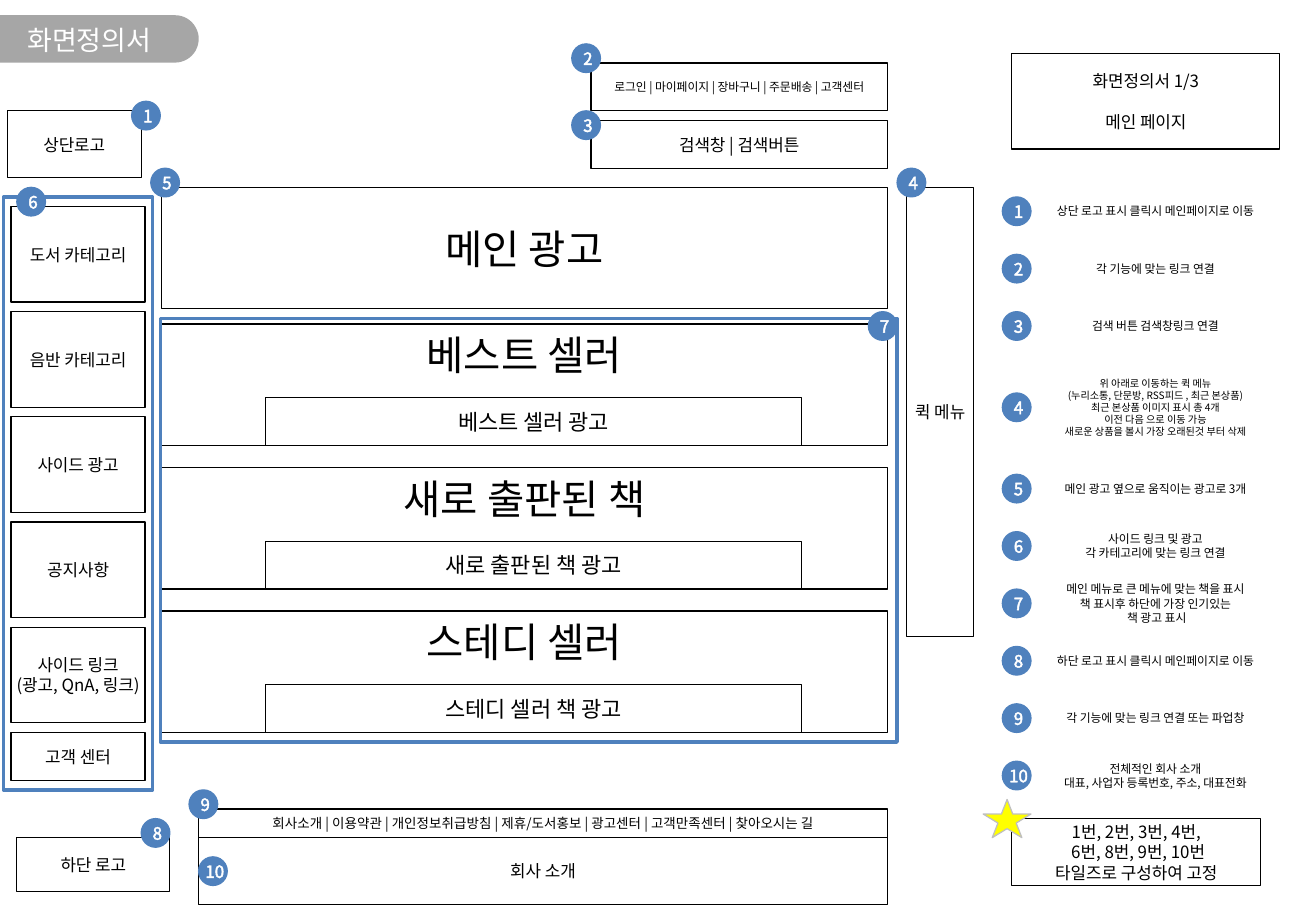
import pptx
import pptx.util
import pptx.dml.color
import pptx.enum.shapes
import pptx.enum.text
import pptx.oxml.ns
import lxml.etree

Pt, Inches = pptx.util.Pt, pptx.util.Inches
RGB = pptx.dml.color.RGBColor
KIND = pptx.enum.shapes.MSO_SHAPE
ALIGN = pptx.enum.text.PP_ALIGN
ANCHOR = pptx.enum.text.MSO_ANCHOR
qn = pptx.oxml.ns.qn

BLACK = RGB(0x00, 0x00, 0x00)
WHITE = RGB(0xFF, 0xFF, 0xFF)
BLUE = RGB(0x4F, 0x81, 0xBD)
GRAY = RGB(0xA6, 0xA6, 0xA6)
SILVER = RGB(0xBF, 0xBF, 0xBF)
YELLOW = RGB(0xFF, 0xFF, 0x00)
FONT = "Noto Sans CJK KR"

# Grid of 2 mm cells, counted from this corner
CELL = pptx.util.Cm(0.2)
LEFT, TOP = Inches(0.06), Inches(0.44)

deck = pptx.Presentation()
deck.slide_width, deck.slide_height = Inches(10.83), Inches(7.5)
slide = deck.slides.add_slide(deck.slide_layouts[5])


def write(frame, lines, size, color=BLACK, gap=0):
    frame.word_wrap = False
    frame.vertical_anchor = ANCHOR.MIDDLE
    frame.margin_left = frame.margin_right = Inches(0.04)
    frame.margin_top = frame.margin_bottom = Inches(0.04)
    for i, line in enumerate(lines):
        para = frame.paragraphs[0] if i == 0 else frame.add_paragraph()
        para.alignment = ALIGN.CENTER
        if len(lines) > 1:
            para.line_spacing = Pt(size * 1.2)
        if i:
            para.space_before = Pt(gap)
        run = para.add_run()
        run.text = line
        run.font.size = Pt(size)
        run.font.name = FONT
        run.font.color.rgb = color
        east = lxml.etree.SubElement(run.font._element, qn("a:ea"))
        east.set("typeface", FONT)


def draw(kind, col, row, wide, high, fill=None, line=BLACK, width=0.75):
    shape = slide.shapes.add_shape(
        kind, int(LEFT + col * CELL), int(TOP + row * CELL),
        int(wide * CELL), int(high * CELL))
    shape.shadow.inherit = False
    if fill is None:
        shape.fill.background()
    else:
        shape.fill.solid()
        shape.fill.fore_color.rgb = fill
    shape.line.color.rgb = line
    shape.line.width = Pt(width)
    return shape


# Title on its gray tab
tab = slide.shapes.add_shape(KIND.ROUND_2_SAME_RECTANGLE, Inches(0.62),
                             Inches(-0.5), Inches(0.39), Inches(1.64))
tab.rotation = 90
tab.adjustments[0], tab.adjustments[1] = 0.5, 0
tab.shadow.inherit = False
tab.fill.solid()
tab.fill.fore_color.rgb = GRAY
tab.line.fill.background()
title = slide.shapes.title
title.left, title.top = 0, Inches(0.13)
title.width, title.height = Inches(1.47), Inches(0.39)
write(title.text_frame, ["화면정의서"], 16, WHITE)
title.text_frame.auto_size = pptx.enum.text.MSO_AUTO_SIZE.NONE
slide.shapes._spTree.append(title._element)

# Page areas: column, row, width, height, text size, text
areas = [
    (0, 6, 14, 7, 10, "상단로고"),
    (16.1, 14, 75.9, 12.7, 24, "메인 광고"),
    (61, 7, 31, 5, 10, "검색창 | 검색버튼"),
    (61, 1, 31, 5, 7, "로그인 | 마이페이지 | 장바구니 | 주문배송 | 고객센터"),
    (94, 14, 7, 47, 10, "퀵 메뉴"),
    (1, 82, 16, 5.6, 10, "하단 로고"),
    (20, 82, 72, 7, 10, "회사 소개"),
    (20, 79, 72, 3, 8, "회사소개 | 이용약관 | 개인정보취급방침 | 제휴/도서홍보"
                       " | 광고센터 | 고객만족센터 | 찾아오시는 길"),
]
for col, row, wide, high, size, text in areas:
    write(draw(KIND.RECTANGLE, col, row, wide, high).text_frame, [text], size)

# Side menu
menu = [["도서 카테고리"], ["음반 카테고리"], ["사이드 광고"], ["공지사항"],
        ["사이드 링크", "(광고, QnA, 링크)"], ["고객 센터"]]
for i, lines in enumerate(menu):
    high = 5 if i == len(menu) - 1 else 10
    box = draw(KIND.RECTANGLE, 0.4, 16 + 11 * i, 14, high, WHITE)
    write(box.text_frame, lines, 10)

# Book sections, each with an advert
books = [("베스트 셀러", "베스트 셀러 광고"),
         ("새로 출판된 책", "새로 출판된 책 광고"),
         ("스테디 셀러", "스테디 셀러 책 광고")]
for i, (head, advert) in enumerate(books):
    row = 28.3 + 15 * i
    frame = draw(KIND.RECTANGLE, 16.1, row, 75.9, 12.7).text_frame
    write(frame, [head], 24)
    frame.vertical_anchor = ANCHOR.TOP
    frame.margin_top = Inches(0.05)
    box = draw(KIND.RECTANGLE, 27, row + 7.7, 56, 5)
    write(box.text_frame, [advert], 13)

# Blue frames round the side menu and the sections
draw(KIND.RECTANGLE, -0.4, 15, 15.6, 62, None, BLUE, 2)
draw(KIND.RECTANGLE, 16, 27.7, 77, 44.3, None, BLUE, 2)

# Page name and fixed-part note
box = draw(KIND.RECTANGLE, 105, 0, 28, 10)
write(box.text_frame, ["화면정의서 1/3", "메인 페이지"], 10, gap=12)
box = draw(KIND.RECTANGLE, 105, 80, 26, 7, WHITE)
write(box.text_frame, ["1번, 2번, 3번, 4번,", " 6번, 8번, 9번, 10번",
                       "타일즈로 구성하여 고정"], 10)
draw(KIND.STAR_5_POINT, 102, 78, 5, 4, YELLOW, SILVER)

# Legend: rows follow one another with a gap of one cell
legend = [
    ["상단 로고 표시 클릭시 메인페이지로 이동"],
    ["각 기능에 맞는 링크 연결"],
    ["검색 버튼 검색창링크 연결"],
    ["위 아래로 이동하는 퀵 메뉴",
     "(누리소통, 단문방, RSS피드 , 최근 본상품)",
     "최근 본상품 이미지 표시 총 4개", "이전 다음 으로 이동 가능",
     "새로운 상품을 볼시 가장 오래된것 부터 삭제"],
    ["메인 광고 옆으로 움직이는 광고로 3개"],
    ["사이드 링크 및 광고", "각 카테고리에 맞는 링크 연결"],
    ["메인 메뉴로 큰 메뉴에 맞는 책을 표시",
     "책 표시후 하단에 가장 인기있는", " 책 광고 표시"],
    ["하단 로고 표시 클릭시 메인페이지로 이동"],
    ["각 기능에 맞는 링크 연결 또는 파업창"],
    ["전체적인 회사 소개", "대표, 사업자 등록번호, 주소, 대표전화"],
]
# Badge spots on the page, in order of number
spots = [(13, 5), (59, -1), (59, 6), (93, 12), (15, 12),
         (1, 14), (90, 27), (14, 80), (19, 77), (20, 84)]
row = 14
for num, (lines, spot) in enumerate(zip(legend, spots), 1):
    high, size = (10, 6) if len(lines) > 3 else (5, 7)
    box = draw(KIND.RECTANGLE, 108, row, 24, high, None, WHITE)
    write(box.text_frame, lines, size)
    for col, top in (spot, (104, row + high / 2 - 1.5)):
        badge = draw(KIND.OVAL, col, top, 3, 3, BLUE, BLUE)
        write(badge.text_frame, [f" {num}"], 10, WHITE)
        font = badge.text_frame.paragraphs[0].runs[0].font
        edge = lxml.etree.Element(qn("a:ln"), w=str(Pt(0.75)))
        paint = lxml.etree.SubElement(edge, qn("a:solidFill"))
        lxml.etree.SubElement(paint, qn("a:srgbClr"), val=str(WHITE))
        font._element.insert(0, edge)
    row += high + 1

deck.save("out.pptx")
